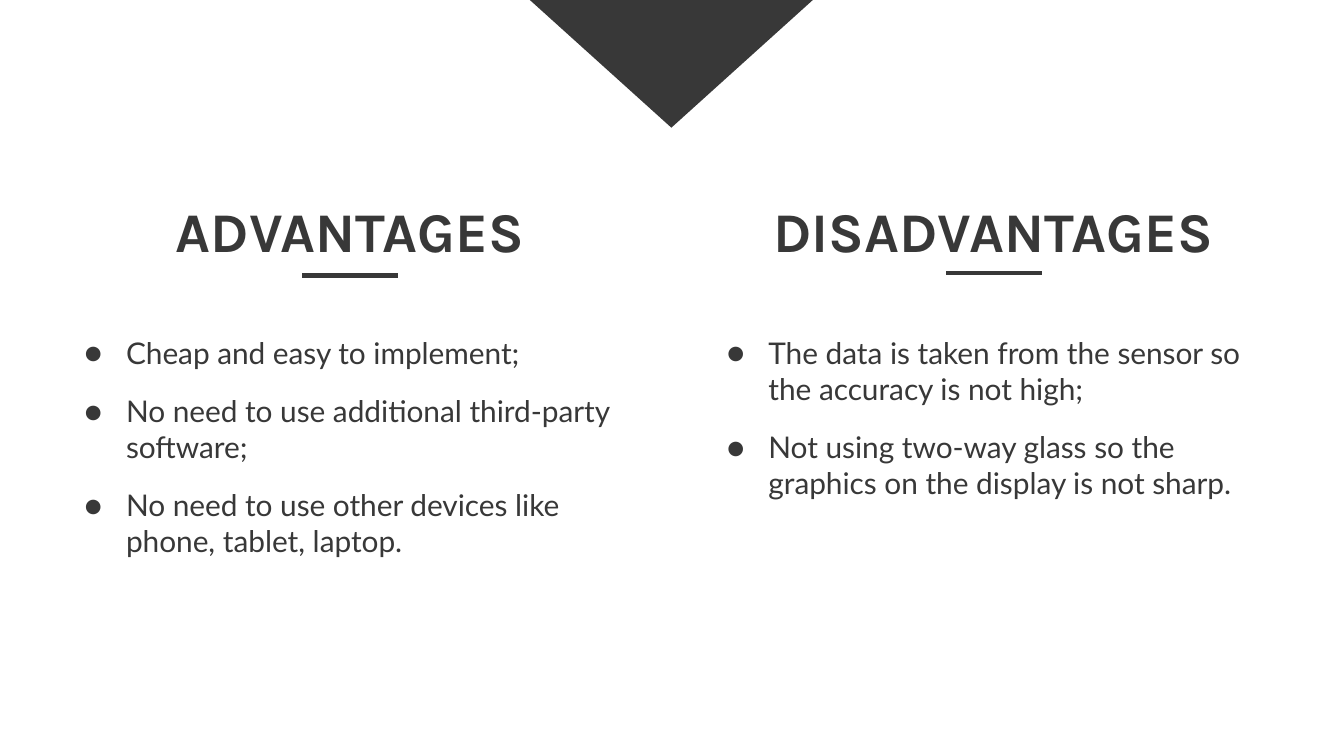
from dataclasses import dataclass

from lxml.etree import SubElement
from pptx import Presentation
from pptx.dml.color import RGBColor
from pptx.enum.shapes import MSO_CONNECTOR as Link, MSO_SHAPE as Form
from pptx.enum.text import MSO_ANCHOR as Anchor, MSO_AUTO_SIZE as Fit, PP_ALIGN as Align
from pptx.oxml.ns import qn
from pptx.util import Inches, Pt

DARK = RGBColor(0x38, 0x38, 0x38)
WHITE = RGBColor(0xFF, 0xFF, 0xFF)
WIDE = 10
HIGH = WIDE * 9 / 16
HEAD_TOP, HEAD_HIGH = 1.54, 0.34
LIST_TOP, LIST_WIDE, LIST_HIGH = 2.39, 4.16, 3.29
RULE_WIDE = 0.71
INDENT = 0.31


@dataclass
class Column:
    head: str
    head_left: float
    head_wide: float
    rule_left: float
    rule_top: float
    list_left: float
    items: list[str]


COLUMNS = [
    Column("ADVANTAGES", 0.78, 3.65, 2.25, 2.05, 0.53, [
        "Cheap and easy to implement;",
        "No need to use additional third-party software;",
        "No need to use other devices like phone, tablet, laptop.",
    ]),
    Column("DISADVANTAGES", 4.81, 5.16, 7.04, 2.03, 5.31, [
        "The data is taken from the sensor so the accuracy is not high;",
        "Not using two-way glass so the graphics on the display is not sharp.",
    ]),
]


def add_bullet(para, font: str) -> None:
    props = para._p.get_or_add_pPr()
    props.set("marL", str(Inches(INDENT)))
    props.set("indent", str(-Inches(INDENT)))
    color = SubElement(props, qn("a:buClr"))
    SubElement(color, qn("a:srgbClr"), val=str(DARK))
    SubElement(props, qn("a:buFont"), typeface=font)
    SubElement(props, qn("a:buChar"), char="●")


def write(box, lines: list[str], *, font: str, size: float, bold: bool = False,
          align=Align.LEFT, anchor=Anchor.TOP, after: float = 0,
          bullet: bool = False) -> None:
    frame = box.text_frame
    frame.word_wrap = True
    frame.auto_size = Fit.NONE
    frame.vertical_anchor = anchor
    frame.margin_left = frame.margin_right = Inches(0.1)
    frame.margin_top = frame.margin_bottom = Inches(0.1)
    for i, line in enumerate(lines):
        para = frame.add_paragraph() if i else frame.paragraphs[0]
        if bullet:
            add_bullet(para, font)
        para.alignment = align
        para.space_after = Pt(after)
        run = para.add_run()
        run.text = line
        run.font.name, run.font.size, run.font.bold = font, Pt(size), bold
        run.font.color.rgb = DARK


def add_box(slide, left: float, top: float, wide: float, high: float):
    return slide.shapes.add_textbox(*map(Inches, (left, top, wide, high)))


def add_rule(slide, left: float, top: float) -> None:
    rule = slide.shapes.add_connector(
        Link.STRAIGHT, *map(Inches, (left, top, left + RULE_WIDE, top)))
    rule.line.color.rgb = DARK
    rule.line.width = Pt(2.25)
    SubElement(rule._element.spPr, qn("a:effectLst"))


def add_column(slide, col: Column, head=None) -> None:
    place = col.head_left, HEAD_TOP, col.head_wide, HEAD_HIGH
    if head is None:
        head = add_box(slide, *place)
    else:
        head.left, head.top, head.width, head.height = map(Inches, place)
    write(head, [col.head], font="Karla", size=30, bold=True,
          align=Align.CENTER, anchor=Anchor.MIDDLE)
    add_rule(slide, col.rule_left, col.rule_top)
    body = add_box(slide, col.list_left, LIST_TOP, LIST_WIDE, LIST_HIGH)
    write(body, col.items, font="Lato", size=16, after=12, bullet=True)


def main() -> None:
    deck = Presentation()
    deck.slide_width, deck.slide_height = Inches(WIDE), Inches(HIGH)
    slide = deck.slides.add_slide(deck.slide_layouts[5])
    slide.background.fill.solid()
    slide.background.fill.fore_color.rgb = WHITE

    # Pointer at the top edge
    mark = slide.shapes.add_shape(
        Form.ISOSCELES_TRIANGLE, *map(Inches, (3.92, -0.02, 2.15, 0.97)))
    mark.rotation = 180
    mark.shadow.inherit = False
    mark.fill.solid()
    mark.fill.fore_color.rgb = DARK
    mark.line.fill.background()

    # Two columns; the first heading is the slide title
    first, second = COLUMNS
    add_column(slide, first, slide.shapes.title)
    add_column(slide, second)

    deck.save("out.pptx")


if __name__ == "__main__":
    main()
